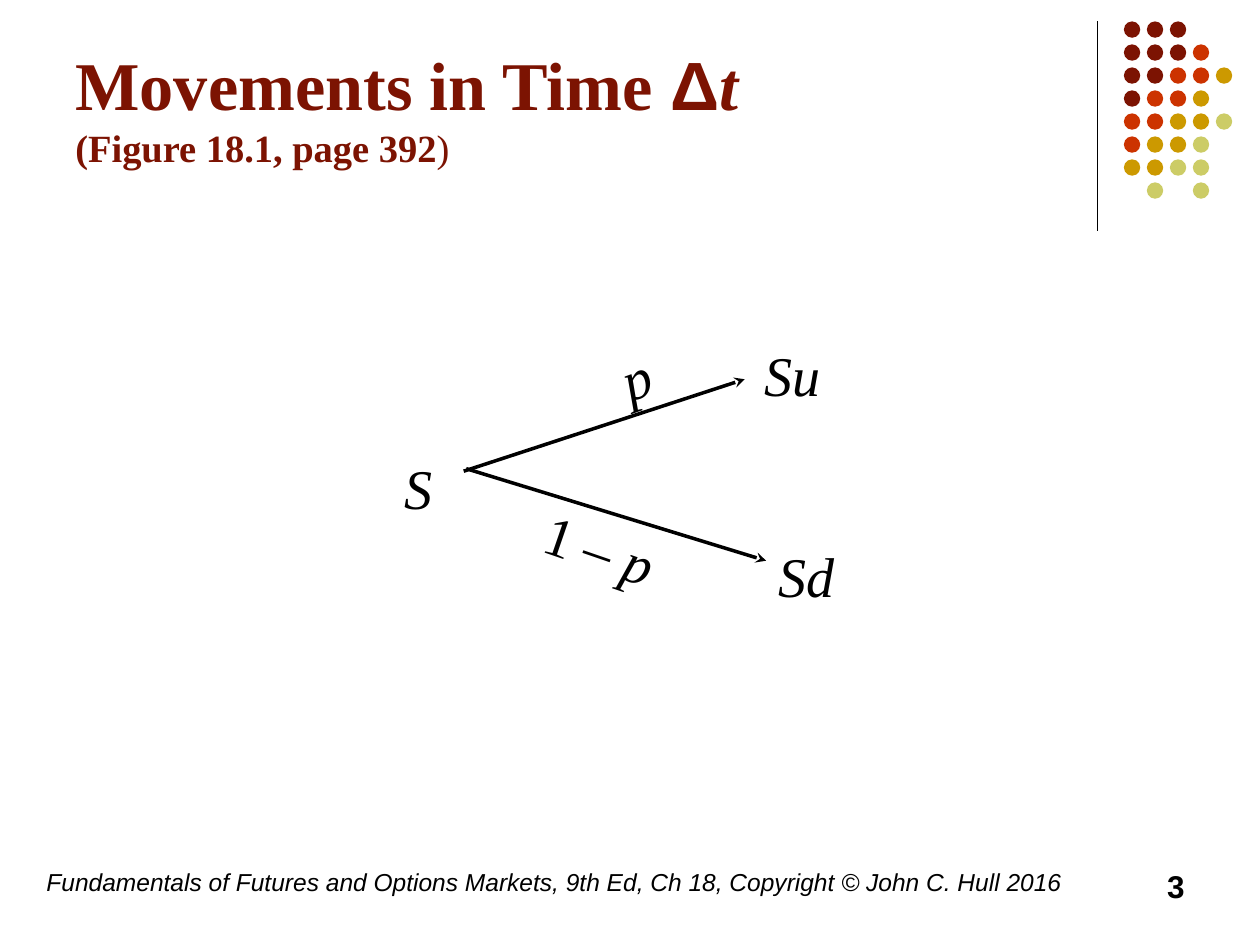
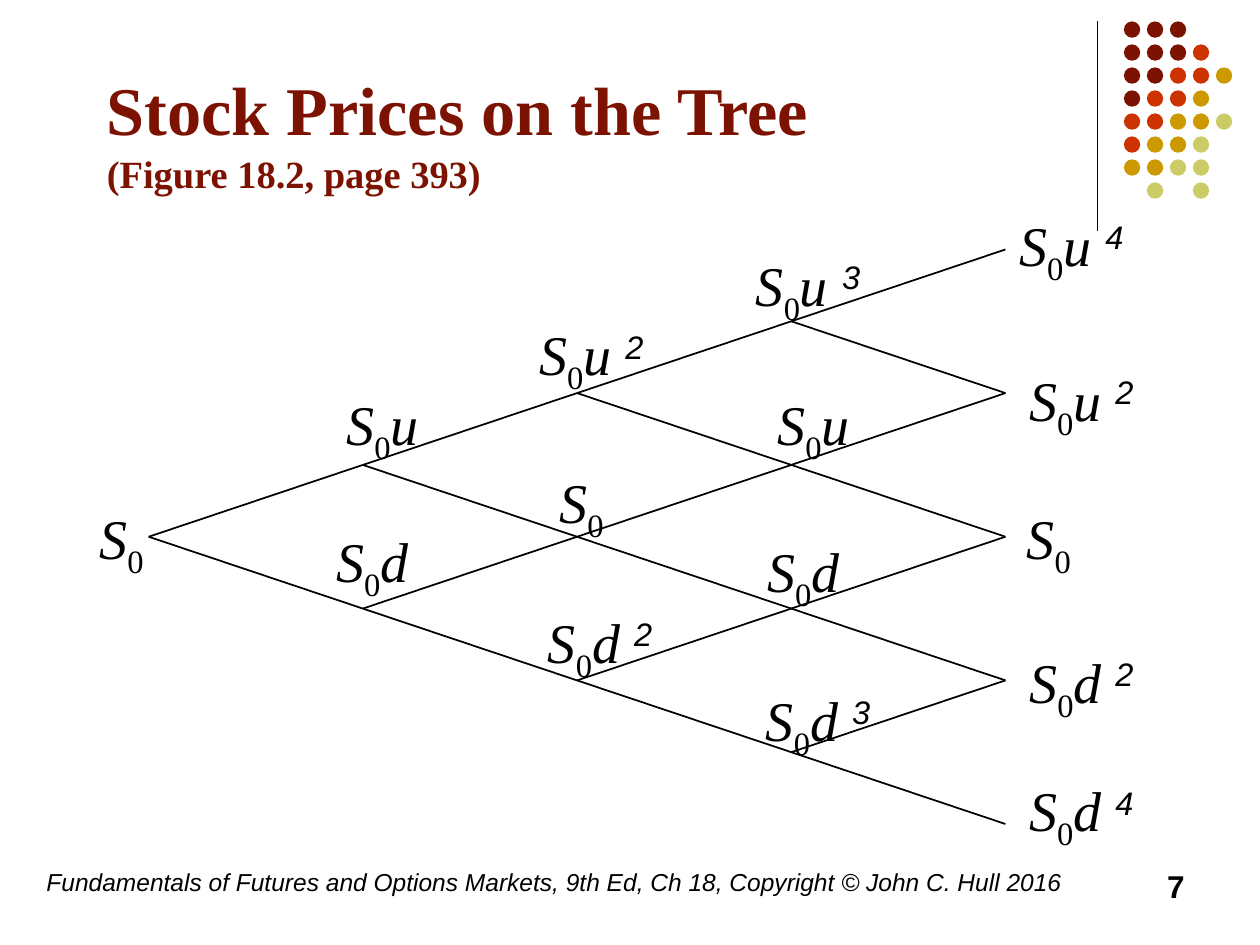
from dataclasses import dataclass

from lxml.etree import SubElement
from pptx import Presentation
from pptx.dml.color import RGBColor
from pptx.enum.shapes import MSO_CONNECTOR as CONNECTOR, MSO_SHAPE as SHAPE
from pptx.enum.text import MSO_ANCHOR as ANCHOR, PP_ALIGN as ALIGN
from pptx.oxml.ns import qn
from pptx.util import Pt


@dataclass(frozen=True)
class Theme:
    ink: str = "000000"
    maroon: str = "7C1302"
    red: str = "CC3300"
    gold: str = "CC9900"
    lime: str = "CCCC66"
    serif: str = "Times New Roman"
    sans: str = "Arial"
    title: int = 39
    subtitle: int = 22
    label: int = 32
    footer: int = 14
    number: int = 18


theme = Theme()
PX = 9144


def write(page, frame, spans, color=theme.ink, anchor=ANCHOR.TOP, align=ALIGN.LEFT):
    box = page.shapes.add_textbox(*[PX * side for side in frame])
    box.text_frame.word_wrap = True
    box.text_frame.vertical_anchor = anchor
    para = box.text_frame.paragraphs[0]
    para.alignment = align
    for text, size, font, style, baseline in spans:
        if text == "\n":
            para.add_line_break()
            continue
        span = para.add_run()
        span.text = text
        span.font.size = Pt(size)
        span.font.name = font
        span.font.bold = "b" in style
        span.font.italic = "i" in style
        span.font.color.rgb = RGBColor.from_string(color)
        if baseline:
            span._r.get_or_add_rPr().set("baseline", str(baseline * 1000))
    return box


def draw_line(page, start, end, weight, arrow=False):
    line = page.shapes.add_connector(
        CONNECTOR.STRAIGHT, *[PX * value for value in (*start, *end)])
    line.line.color.rgb = RGBColor.from_string(theme.ink)
    line.line.width = Pt(weight)
    if arrow:
        SubElement(line.line._get_or_add_ln(), qn("a:tailEnd"), type="stealth")
    SubElement(line._element.spPr, qn("a:effectLst"))


deck = Presentation()
deck.slide_width = PX * 1000
deck.slide_height = PX * 750

bold_title = (theme.title, theme.serif, "b", 0)
bold_subtitle = (theme.subtitle, theme.serif, "b", 0)
line_break = ("\n", *bold_title)
titles = [
    ("3", (50, 13, 825, 142), [
        ("Movements in Time ", *bold_title),
        ("Δ", theme.title, theme.sans, "b", 0),
        ("t", theme.title, theme.serif, "bi", 0),
        line_break,
        ("(Figure 18.1, page 392", *bold_subtitle),
        (")", theme.subtitle, theme.serif, "", 0)]),
    ("7", (75, 42, 850, 125), [
        ("Stock Prices on the Tree", *bold_title),
        line_break,
        ("(Figure 18.2, page 393)", *bold_subtitle)]),
]
footer = ("Fundamentals of Futures and Options Markets, 9th Ed, Ch 18, "
          "Copyright © John C. Hull 2016")
dot_rows = ["MMM", "MMMR", "MMRRG", "MRRG", "RRGGL", "RGGL", "GGLL", " L L"]
dot_colors = {"M": theme.maroon, "R": theme.red, "G": theme.gold, "L": theme.lime}

for number, frame, spans in titles:
    page = deck.slides.add_slide(deck.slide_layouts[6])
    draw_line(page, (871, 17), (871, 183), 0.75)
    for row, letters in enumerate(dot_rows):
        for column, letter in enumerate(letters):
            if letter == " ":
                continue
            dot = page.shapes.add_shape(
                SHAPE.OVAL, PX * 892 + PX * 73 * column // 4,
                PX * 17 + PX * 73 * row // 4, PX * 13, PX * 13)
            dot.shadow.inherit = False
            dot.fill.solid()
            dot.fill.fore_color.rgb = RGBColor.from_string(dot_colors[letter])
            dot.line.fill.background()
    write(page, frame, spans, theme.maroon, ANCHOR.MIDDLE)
    write(page, (27, 683, 827, 50), [(footer, theme.footer, theme.sans, "i", 0)])
    write(page, (717, 683, 233, 50),
          [(number, theme.number, theme.sans, "b", 0)], align=ALIGN.RIGHT)

step_page, tree_page = deck.slides
italic_label = (theme.label, theme.serif, "i", 0)
upright_label = (theme.label, theme.serif, "", 0)

draw_line(step_page, (368, 374), (591, 301), 2, arrow=True)
draw_line(step_page, (370, 372), (608, 445), 2, arrow=True)
for text, left, top in [("Su", 597, 265), ("Sd", 608, 425), ("S", 311, 355)]:
    write(step_page, (left, top, 76, 63), [(text, *italic_label)])
up_chance = write(step_page, (484, 267, 42, 63), [("p", *italic_label)])
up_chance.rotation = 340
down_chance = write(step_page, (421, 411, 154, 63),
                    [("1 – ", *upright_label), ("p", *italic_label)])
down_chance.rotation = 19

root_x, root_y = 118, 426
step_x, step_y = 170, 57
for step in range(4):
    for downs in range(step + 1):
        x = root_x + step * step_x
        y = root_y + (2 * downs - step) * step_y
        for move in (-step_y, step_y):
            draw_line(tree_page, (x, y), (x + step_x, y + move), 1)

prices = [
    ("", "", 69, 395, 69),
    ("u", "", 265, 304, 91),
    ("d", "", 257, 413, 90),
    ("u ", "2", 418, 249, 120),
    ("", "", 434, 366, 69),
    ("d ", "2", 425, 477, 120),
    ("u ", "3", 590, 194, 120),
    ("u", "", 607, 304, 91),
    ("d", "", 599, 421, 91),
    ("d ", "3", 598, 539, 120),
    ("u ", "4", 799, 162, 173),
    ("u ", "2", 807, 285, 134),
    ("", "", 805, 395, 69),
    ("d ", "2", 807, 509, 119),
    ("d ", "4", 807, 611, 150),
]
for factor, power, left, top, width in prices:
    spans = [("S", *italic_label), ("0", theme.label, theme.serif, "", -25)]
    if factor:
        spans.append((factor, *italic_label))
    if power:
        spans.append((power, theme.label, theme.sans, "i", 30))
    write(tree_page, (left, top, width, 63), spans)

deck.save("out.pptx")
